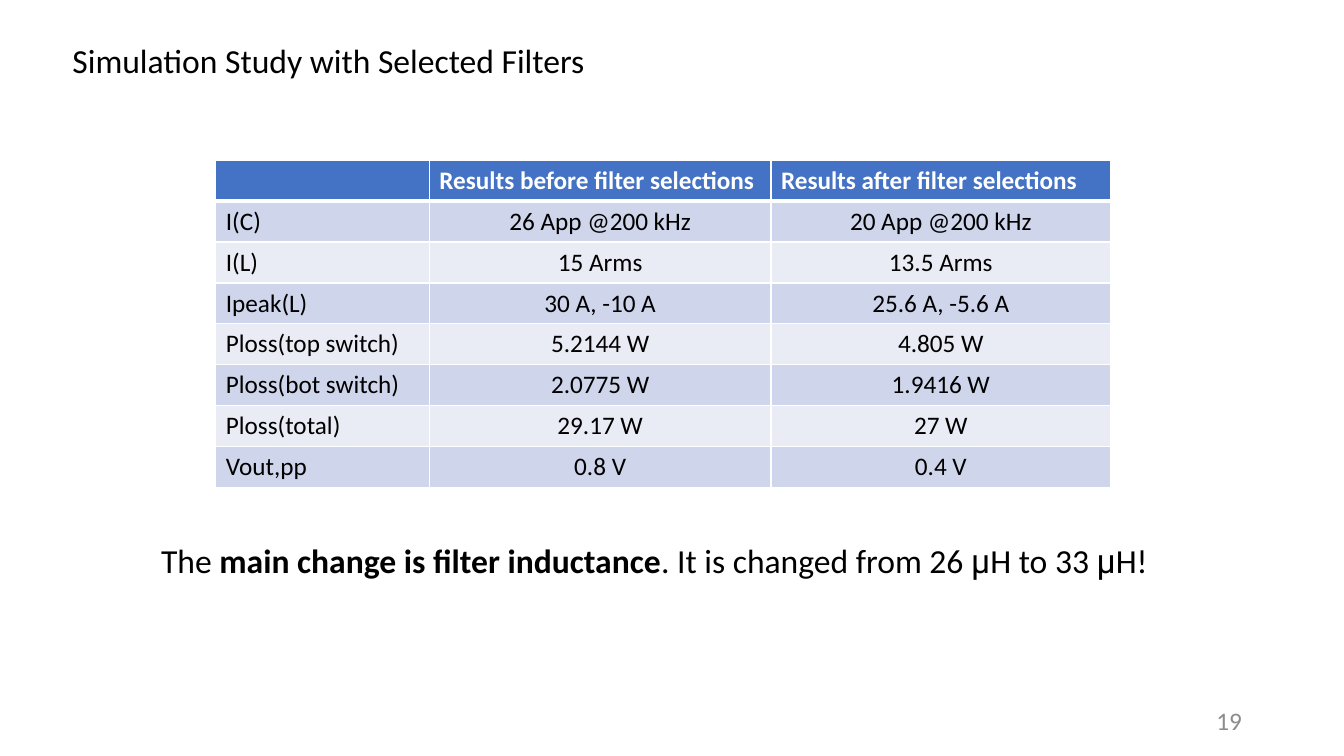
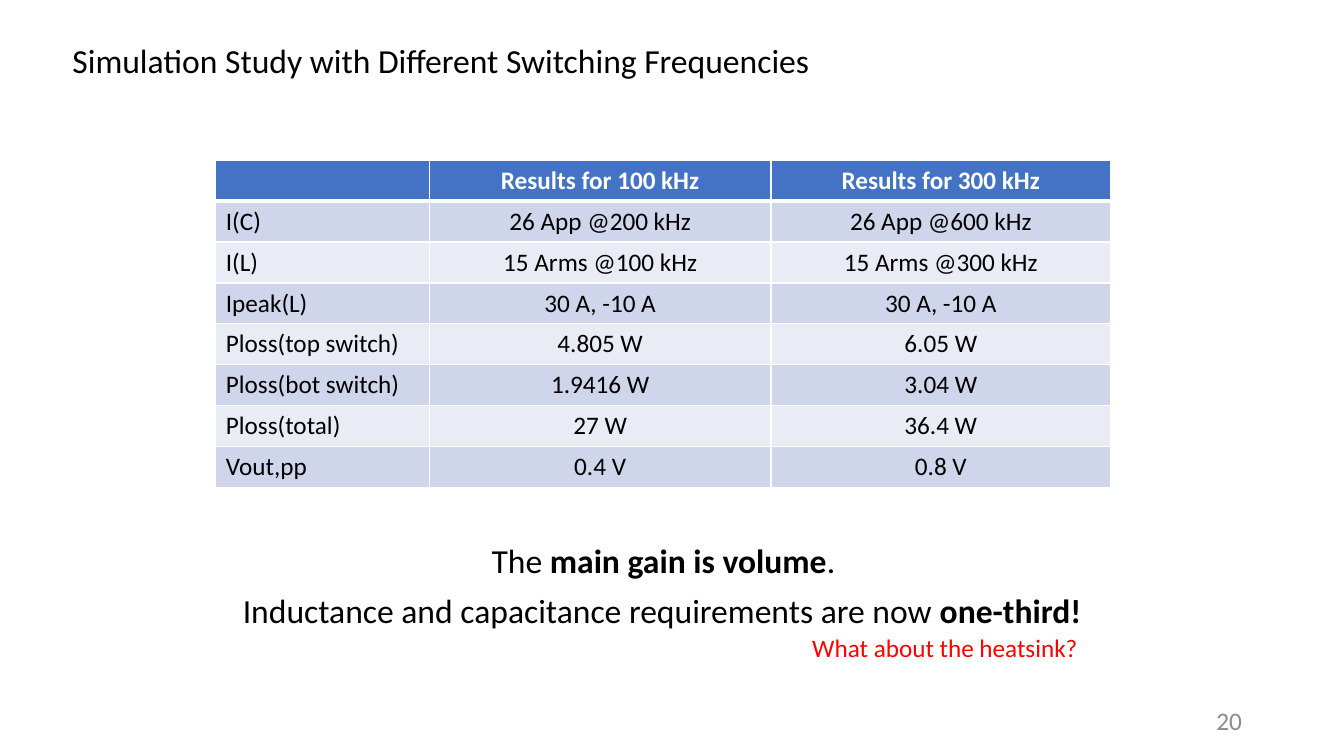
from lxml import etree
from pptx import Presentation
from pptx.dml.color import RGBColor
from pptx.enum import text
from pptx.oxml import ns
from pptx.util import Cm, Pt

FONT = "Calibri"
HUES = {
    "ink": "000000", "white": "FFFFFF", "head": "4472C4", "odd": "CFD5EA",
    "even": "E9EBF5", "grey": "8C8C8C", "red": "FF0000",
}
LEFT, MID, RIGHT = text.PP_ALIGN.LEFT, text.PP_ALIGN.CENTER, text.PP_ALIGN.RIGHT
TOP = text.MSO_ANCHOR.TOP
COLS = (5.38, 8.61, 8.56)
ROW = 1.03
NAMES = ("I(C)", "I(L)", "Ipeak(L)", "Ploss(top switch)", "Ploss(bot switch)",
         "Ploss(total)", "Vout,pp")


def color(key):
    return RGBColor.from_string(HUES[key])


def style(run, size, hue="ink", bold=False, font=FONT):
    run.font.size = Pt(size)
    run.font.name = font
    run.font.bold = bold
    run.font.color.rgb = color(hue)


def setup(frame, anchor=TOP):
    frame.word_wrap = True
    frame.auto_size = text.MSO_AUTO_SIZE.NONE
    frame.vertical_anchor = anchor


def title(slide, words, width):
    shape = slide.shapes.title
    shape.left, shape.top = Cm(1.57), Cm(0.89)
    shape.width, shape.height = Cm(width), Cm(1.28)
    frame = shape.text_frame
    setup(frame)
    frame.text = words
    frame.paragraphs[0].alignment = LEFT
    style(frame.paragraphs[0].runs[0], 24)


def label(slide, box, parts, size=24, hue="ink", align=LEFT, anchor=TOP):
    frame = slide.shapes.add_textbox(*map(Cm, box)).text_frame
    setup(frame, anchor)
    para = frame.paragraphs[0]
    para.alignment = align
    for words, bold in parts:
        run = para.add_run()
        run.text = words
        style(run, size, hue, bold, "Roboto" if words == "μ" else FONT)


def edge(cell, side, width):
    props = cell._tc.get_or_add_tcPr()
    line = etree.SubElement(props, ns.qn(f"a:ln{side}"), w=str(Pt(width)))
    fill = etree.SubElement(line, ns.qn("a:solidFill"))
    etree.SubElement(fill, ns.qn("a:srgbClr"), val=HUES["white"])


def fill(cell, words, hue, ink, bold, align):
    cell.text = words
    para = cell.text_frame.paragraphs[0]
    para.alignment = align
    para.font.size = Pt(18)
    for run in para.runs:
        style(run, 18, ink, bold)
    cell.fill.solid()
    cell.fill.fore_color.rgb = color(hue)


def grid(slide, heads, data, align):
    rows = [("", *heads)] + [(name, *pair) for name, pair in zip(NAMES, data)]
    frame = slide.shapes.add_table(len(rows), len(COLS), Cm(5.44), Cm(4.04),
                                   Cm(sum(COLS)), Cm(ROW * len(rows)))
    table = frame.table
    for col, width in zip(table.columns, COLS):
        col.width = Cm(width)
    for r, row in enumerate(rows):
        table.rows[r].height = Cm(ROW)
        hue = "head" if r == 0 else "odd" if r % 2 else "even"
        for c, words in enumerate(row):
            cell = table.cell(r, c)
            for side in "LRTB":
                thick = (r, side) in ((0, "B"), (1, "T"))
                edge(cell, side, 3 if thick else 1)
            place = LEFT if c == 0 else align if r == 0 else MID
            fill(cell, words, hue, "ink" if r else "white", r == 0, place)


def page(deck, number, name, width, heads, data, align):
    slide = deck.slides.add_slide(deck.slide_layouts[5])
    label(slide, (23.93, 17.65, 7.62, 1.01), [(str(number), False)], 18, "grey",
          RIGHT, text.MSO_ANCHOR.MIDDLE)
    title(slide, name, width)
    grid(slide, heads, data, align)
    return slide


def main():
    deck = Presentation()
    deck.slide_width, deck.slide_height = Cm(33.87), Cm(19.05)

    slide = page(
        deck, 19, "Simulation Study with Selected Filters", 13.9,
        ("Results before filter selections", "Results after filter selections"),
        (("26 App @200 kHz", "20 App @200 kHz"), ("15 Arms", "13.5 Arms"),
         ("30 A, -10 A", "25.6 A, -5.6 A"), ("5.2144 W", "4.805 W"),
         ("2.0775 W", "1.9416 W"), ("29.17 W", "27 W"), ("0.8 V", "0.4 V")), LEFT)
    label(slide, (3.81, 13.48, 25.8, 1.28), [
        ("The ", False), ("main change is filter inductance", True),
        (". It is changed from 26 ", False), ("μ", False), ("H to 33 ", False),
        ("μ", False), ("H!", False)])

    slide = page(
        deck, 20, "Simulation Study with Different Switching Frequencies", 20.04,
        ("Results for 100 kHz", "Results for 300 kHz"),
        (("26 App @200 kHz", "26 App @600 kHz"), ("15 Arms @100 kHz", "15 Arms @300 kHz"),
         ("30 A, -10 A", "30 A, -10 A"), ("4.805 W", "6.05 W"),
         ("1.9416 W", "3.04 W"), ("27 W", "36.4 W"), ("0.4 V", "0.8 V")), MID)
    label(slide, (5.94, 13.48, 21.56, 1.28),
          [("The ", False), ("main gain is volume", True), (".", False)], align=MID)
    label(slide, (5.87, 14.73, 22.07, 1.28),
          [("Inductance and capacitance requirements are now ", False), ("one-third!", True)])
    label(slide, (20.22, 15.8, 7.4, 1.02), [("What about the heatsink?", False)], 18, "red")

    deck.save("out.pptx")


if __name__ == "__main__":
    main()
